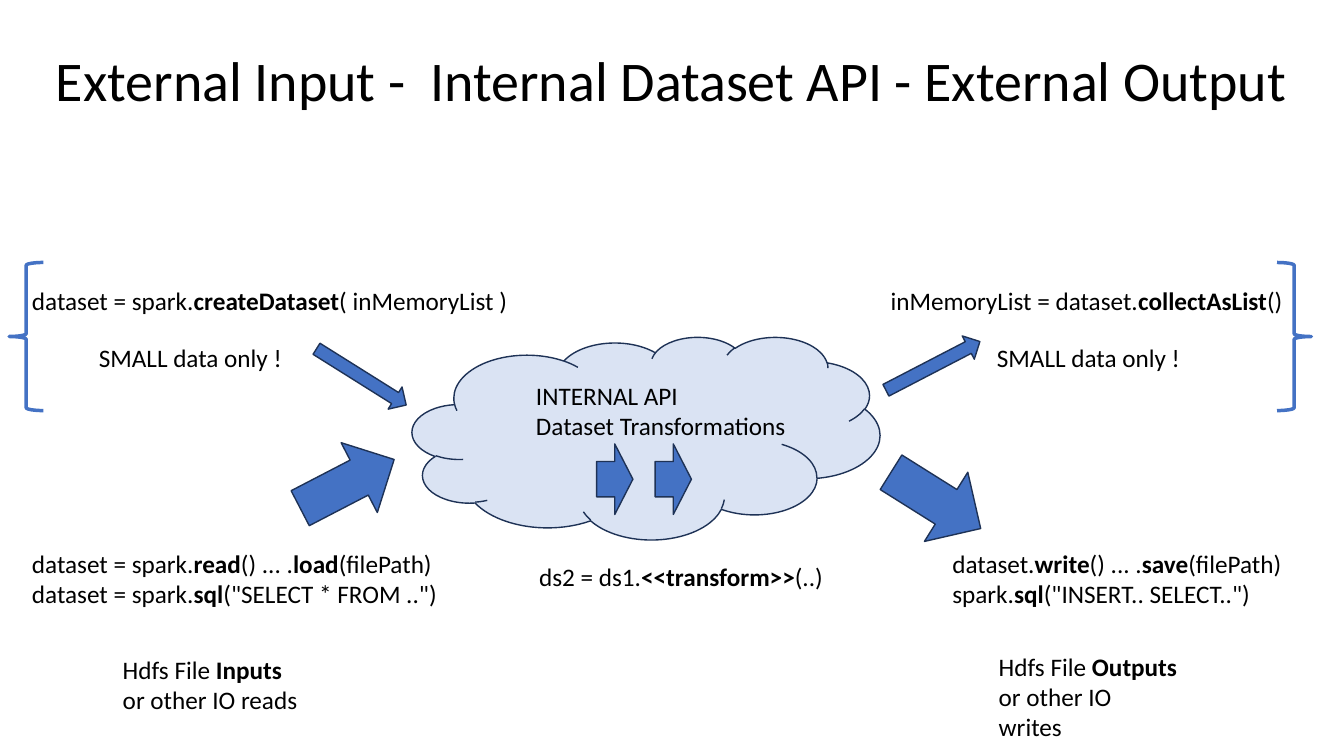
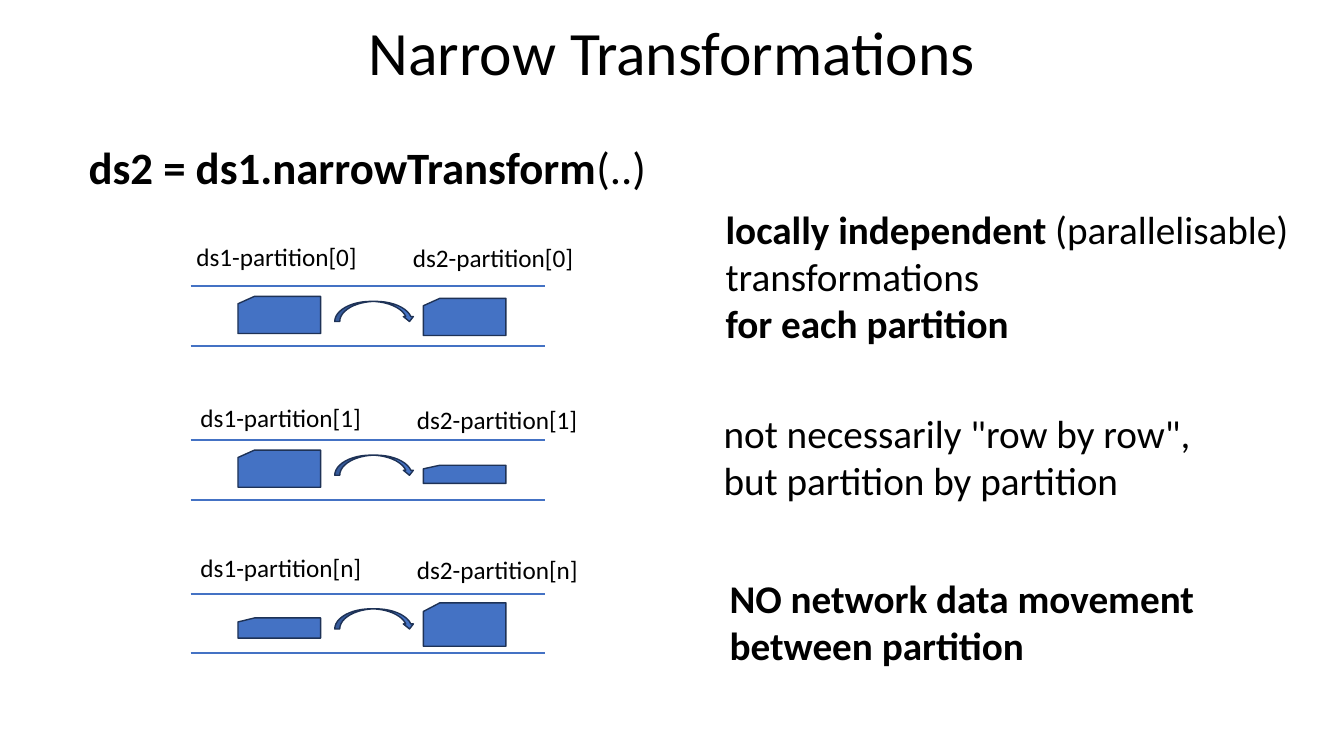
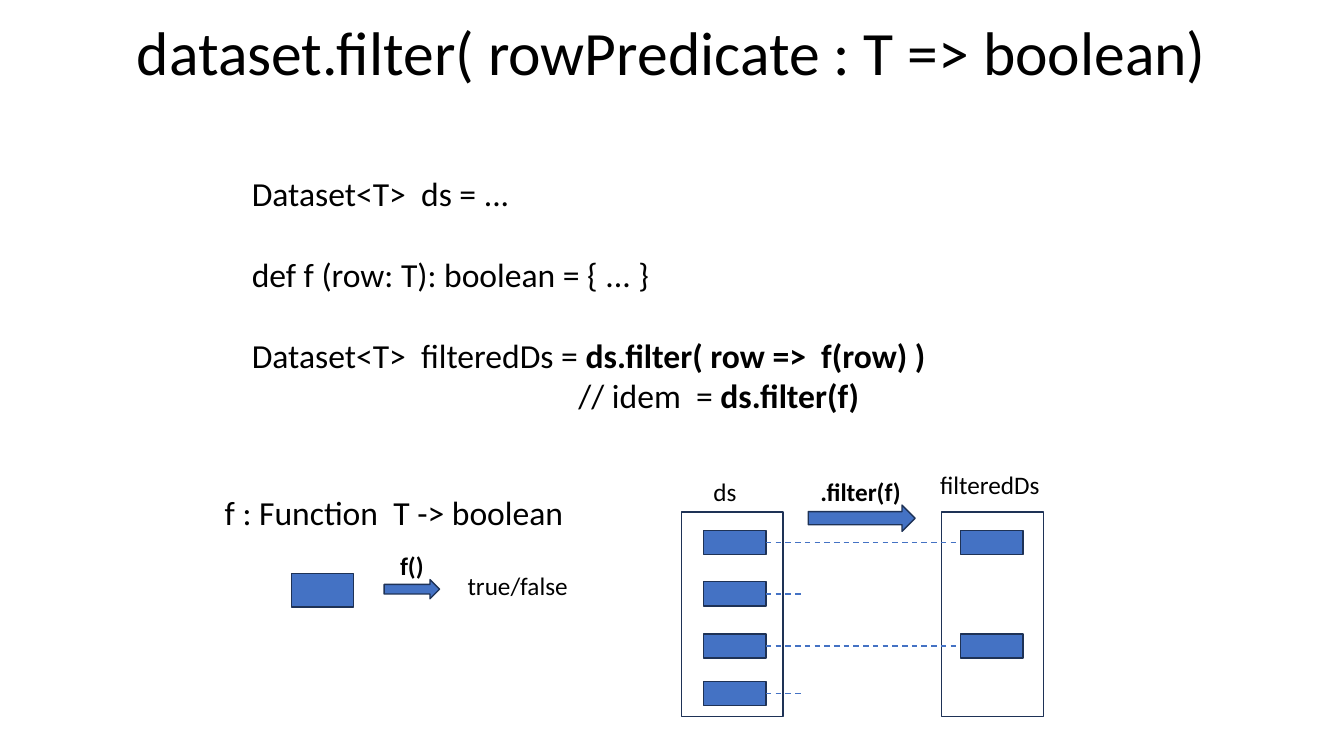
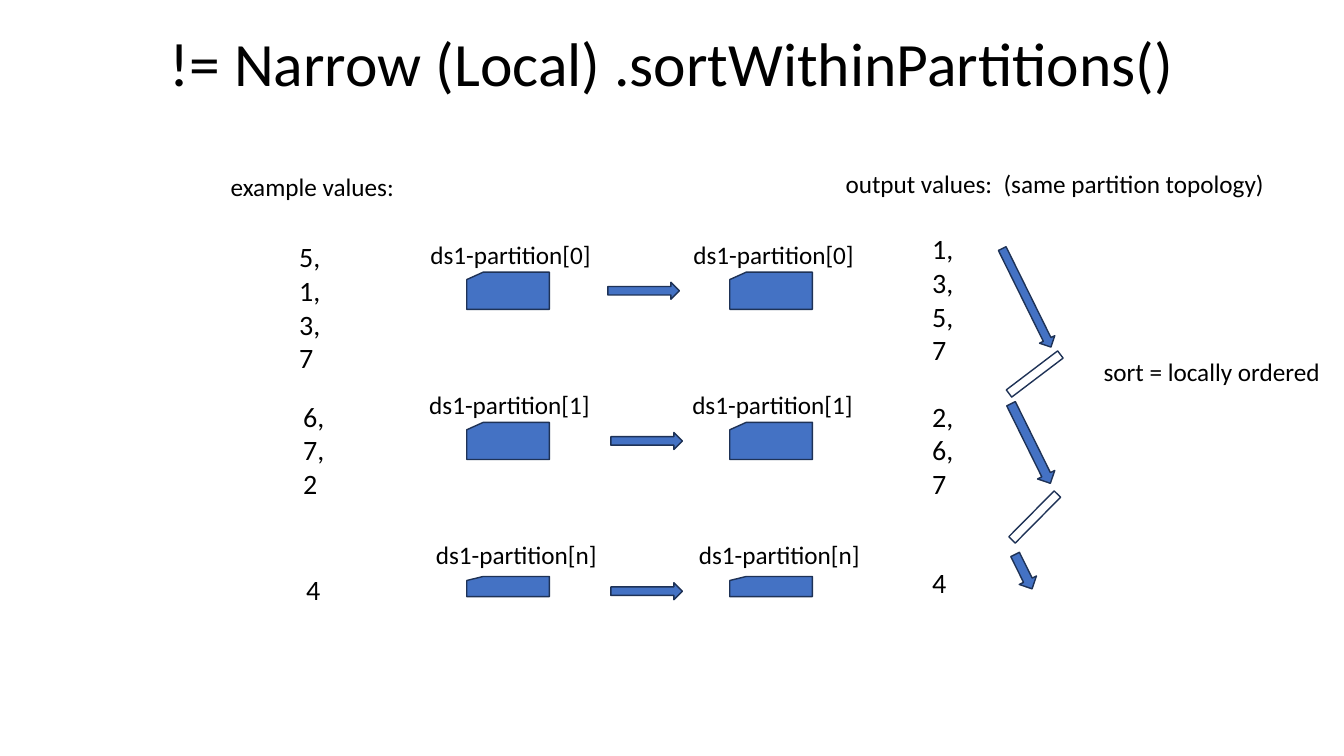
from pptx import Presentation
from pptx.dml.color import RGBColor
from pptx.enum.dml import MSO_LINE
from pptx.enum.shapes import MSO_CONNECTOR, MSO_SHAPE
from pptx.enum.text import MSO_ANCHOR, PP_ALIGN
from pptx.oxml.ns import qn
from pptx.util import Pt
from lxml import etree

BLUE = RGBColor(0x44, 0x72, 0xC4)
PALE = RGBColor(0xDA, 0xE3, 0xF3)
NAVY = RGBColor(0x1E, 0x32, 0x56)
BLACK = RGBColor(0, 0, 0)
FONT = "Calibri"
LINE_HEIGHT = 1.22

RECT = MSO_SHAPE.RECTANGLE
CLOUD = MSO_SHAPE.CLOUD
CARD = MSO_SHAPE.FLOWCHART_CARD
RIGHT = MSO_SHAPE.RIGHT_ARROW
DOWN = MSO_SHAPE.DOWN_ARROW
CURVED = MSO_SHAPE.CURVED_DOWN_ARROW
LEFT_BRACE = MSO_SHAPE.LEFT_BRACE
RIGHT_BRACE = MSO_SHAPE.RIGHT_BRACE
STRAIGHT = MSO_CONNECTOR.STRAIGHT
DASH = MSO_LINE.DASH
CENTER = PP_ALIGN.CENTER
LEFT = PP_ALIGN.LEFT
TOP = MSO_ANCHOR.TOP
MIDDLE = MSO_ANCHOR.MIDDLE
LEFT_SIDE, RIGHT_SIDE = 1, 3


def add_text(s, x, y, w, lines, h=None, size=18, align=LEFT, anchor=TOP,
             wrap=False, spacing=None, gaps=()):
    if h is None:
        h = len(lines) * size * LINE_HEIGHT + sum(gaps) + 7.2
    tf = s.shapes.add_textbox(Pt(x), Pt(y), Pt(w), Pt(h)).text_frame
    tf.word_wrap = wrap
    tf.vertical_anchor = anchor
    for i, line in enumerate(lines):
        p = tf.paragraphs[0] if i == 0 else tf.add_paragraph()
        p.alignment = align
        if spacing:
            p.line_spacing = spacing
        if i < len(gaps) and gaps[i]:
            p.space_before = Pt(gaps[i])
        for j, part in enumerate(line.split("**")):
            if part:
                r = p.add_run()
                r.text = part
                r.font.name = FONT
                r.font.size = Pt(size)
                r.font.bold = j % 2 == 1
                r.font.color.rgb = BLACK


def add_title(s, text, x=66, y=7.2, w=828, h=64.8, size=44):
    add_text(s, x, y, w, [text], h=h, size=size, align=CENTER,
             anchor=MIDDLE, wrap=True, spacing=0.9)


def add_box(s, kind, x, y, w, h, fill=BLUE, line=NAVY, weight=1, angle=0):
    sp = s.shapes.add_shape(kind, Pt(x), Pt(y), Pt(w), Pt(h))
    sp.shadow.inherit = False
    if fill is None:
        sp.fill.background()
    else:
        sp.fill.solid()
        sp.fill.fore_color.rgb = fill
    sp.line.color.rgb = line
    sp.line.width = Pt(weight)
    sp.rotation = angle
    return sp


def add_line(s, x1, y1, x2, y2, weight=1.5, dash=None):
    c = s.shapes.add_connector(STRAIGHT, Pt(x1), Pt(y1), Pt(x2), Pt(y2))
    c.line.color.rgb = BLUE
    c.line.width = Pt(weight)
    if dash:
        c.line.dash_style = dash
    etree.SubElement(c._element.spPr, qn("a:effectLst"))
    return c


def memory_region(s, x, y, brace, brace_dx, code, code_dx, code_w, note_dx,
                  arrow_dx, arrow_dy, angle):
    add_box(s, brace, x + brace_dx, y, 24.5, 105.8, fill=None, line=BLUE,
            weight=2.5)
    add_text(s, x + code_dx, y + 12.7, code_w, [code])
    add_text(s, x + note_dx, y + 53.7, 147, ["SMALL data only !"])
    add_box(s, RIGHT, x + arrow_dx, y + arrow_dy, 75.6, 18.7, angle=angle)


def file_region(s, x, y, code, code_dx, code_w, note, note_dx, note_dy,
                arrow_dx, arrow_dy, arrow_h, angle):
    add_box(s, RIGHT, x + arrow_dx, y + arrow_dy, 75.6, arrow_h, angle=angle)
    add_text(s, x + code_dx, y + 70.3, code_w, code)
    add_text(s, x + note_dx, y + note_dy, 143, note)


def internal_region(s, x, y):
    add_box(s, CLOUD, x, y, 334, 144.7, fill=PALE)
    add_text(s, x + 81.3, y + 27.3, 194.4,
             ["INTERNAL API", "Dataset Transformations"])
    for dx in (131.7, 173.5):
        add_box(s, RIGHT, x + dx, y + 76.6, 25.9, 50.4)
    add_text(s, x + 83.5, y + 156.9, 219.6, ["ds2 = ds1.**<<transform>>**(..)"])


def input_output_slide(s):
    down, up = 32.1, 332.6
    add_title(s, "External Input -  Internal Dataset API - External Output",
              x=6.5, y=11.5, w=946, h=96.5, size=40)
    internal_region(s, 294.5, 240.5)
    memory_region(s, 6.5, 187.5, LEFT_BRACE, 0,
                  "dataset = spark.**createDataset**( inMemoryList )",
                  9.3, 355, 57, 213.8, 72.4, down)
    memory_region(s, 625, 187.5, RIGHT_BRACE, 287.2,
                  " inMemoryList = dataset.**collectAsList**()",
                  0, 298.8, 80, 3.6, 64.5, up)
    file_region(s, 15.8, 317.5,
                ["dataset = spark.**read**() ... .**load**(filePath)",
                 'dataset = spark.**sql**("SELECT * FROM ..")'], 0, 306.7,
                ["Hdfs File **Inputs**", "or other IO reads"], 64.8, 146.2,
                194.4, 0, 56.2, up)
    file_region(s, 630.7, 317.5,
                ["dataset.**write**() ... .**save**(filePath)",
                 'spark.**sql**("INSERT.. SELECT..")'], 42.5, 252,
                ["Hdfs File **Outputs**", "or other IO writes"], 75.6, 144,
                0, 10.8, 58.3, down)


def partition_lane(s, x, y, index, cards, label_dx, label_dy):
    for dy in (0, 42.6):
        add_line(s, x, y + dy, x + 253.4, y + dy)
    for dx, (top, h) in zip((33.9, 166.3), cards):
        add_box(s, CARD, x + dx, y + top, 59, h)
    add_box(s, CURVED, x + 103, y + 10.8, 57, 14.4)
    for n, dx, dy in ((1, 0, 0), (2, 154.6, 1.1)):
        add_text(s, x + label_dx + dx, y + label_dy + dy, 131,
                 [f"ds{n}-partition[{index}]"])


def narrow_slide(s):
    add_title(s, "Narrow Transformations")
    add_text(s, 56.2, 96.5, 414.7, ["**ds2 = ds1.narrowTransform**(..)"],
             size=32)
    lanes = [("0", ((7.2, 26.6), (8.6, 26.6)), -2.9, -36),
             ("1", ((7.2, 26.6), (18, 13)), 0, -30.5),
             ("n", ((17.3, 14.4), (6.5, 31)), 0, -33)]
    for i, lane in enumerate(lanes):
        partition_lane(s, 136.1, 204.5 + 109.8 * i, *lane)
    remarks = [(511.2, 143.3, 430.6,
                ["**locally independent** (parallelisable)",
                 "transformations", "**for each partition**"]),
               (509.8, 288.7, 357.8,
                ['not necessarily "row by row",', "but partition by partition"]),
               (514.1, 406.8, 356.4,
                ["**NO network data movement**", "**between partition**"])]
    for remark in remarks:
        add_text(s, *remark, size=28)


def predicate_region(s, x, y):
    add_text(s, x, y, 258.5, ["f : Function  T -> boolean"], size=24)
    add_box(s, RECT, x + 54.7, y + 61.9, 44.6, 23.8)
    add_box(s, RIGHT, x + 121, y + 66.2, 39.6, 13.7)
    add_text(s, x + 125.3, y + 41.8, 31.7, ["**f()**"])
    add_text(s, x + 173.5, y + 56.2, 87.1, ["true/false"])


def filter_region(s, x, y):
    target_dx = 185.8
    for dx in (0, target_dx):
        add_box(s, RECT, x + dx, y, 72.7, 146.2, fill=None)
    add_text(s, x + 15.8, y - 28.8, 31, ["ds"])
    add_text(s, x + 92.2, y - 28.8, 72.7, ["**.filter(f)**"])
    add_text(s, x + 177.8, y - 33.8, 86.4, ["filteredDs"])
    add_box(s, RIGHT, x + 90.7, y - 5, 76.3, 18.7)
    for dy, kept in ((13, True), (49.7, False), (87.1, True), (121, False)):
        row = add_box(s, RECT, x + 15.8, y + dy, 44.6, 17.3)
        mid = y + dy + 8.65
        end = x + (199.4 if kept else 86.4)
        c = add_line(s, x + 60.4, mid, end, mid, weight=1, dash=DASH)
        c.begin_connect(row, RIGHT_SIDE)
        if kept:
            result = add_box(s, RECT, end, y + dy, 44.6, 17.3)
            c.end_connect(result, LEFT_SIDE)


def filter_slide(s):
    add_title(s, "dataset.filter( rowPredicate : T => boolean)")
    add_text(s, 172.8, 120.2, 506.2,
             ["Dataset<T>  ds = ...",
              "def f (row: T): boolean = { ... }",
              "Dataset<T>  filteredDs = **ds.filter( row =>  f(row) )**",
              "                                           // idem  = **ds.filter(f)**"],
             size=24, gaps=(0, 29, 29))
    predicate_region(s, 153.4, 347.8)
    filter_region(s, 486.7, 365.8)


def sort_row(s, x, y, index, label_dx, arrow_dx, top, h):
    for dx in (0, 187.9):
        add_box(s, CARD, x + dx, y + top, 59, h)
        add_text(s, x + dx + label_dx, y - 27, 131, [f"ds1-partition[{index}]"])
    add_box(s, RIGHT, x + arrow_dx, y + 7.2, 51.1, 12.2)


def order_region(s, x, y):
    for dx, dy, w, h in ((2.9, 0, 12.2, 78.5), (5.1, 111.6, 13.7, 63.4),
                         (0, 221.1, 13.7, 27.4)):
        add_box(s, DOWN, x + dx, y + dy, w, h, angle=333.7)
    for dy, angle in ((70.6, 52.8), (172.8, 44.7)):
        add_box(s, RECT, x + 11.5, y + dy, 6.5, 46.1, fill=None, angle=angle)
    add_text(s, x + 56.9, y + 77.8, 170.6, ["sort = locally ordered"])


def sort_slide(s):
    add_title(s, "!= Narrow (Local) .sortWithinPartitions()", h=80.6)
    add_text(s, 157.7, 118.8, 132.5, ["example values:"])
    add_text(s, 596.9, 116.6, 317.5,
             ["output values:  (same partition topology)"])
    rows = [("0", -33.1, 100.8, 0, 26.6), ("1", -33.9, 102.9, 0, 26.6),
            ("n", -29.2, 102.9, 2.8, 14.4)]
    for i, row in enumerate(rows):
        sort_row(s, 333.4, 194.4 + 107.3 * i, *row)
    values = [(206.6, 167.8, ["5,", "1,", "3,", "7"]),
              (209.5, 281.5, ["6,", "7,", "2"]),
              (211.7, 405.4, ["4"]),
              (658.8, 162, ["1,", "3,", "5,", "7"]),
              (658.8, 281.5, ["2,", "6,", "7"]),
              (658.8, 400.3, ["4"])]
    for x, y, lines in values:
        add_text(s, x, y, 34.6 if len(lines) > 1 else 24.5, lines, size=20)
    order_region(s, 724.3, 173.5)


def main():
    prs = Presentation()
    prs.slide_width, prs.slide_height = Pt(960), Pt(540)
    for build in (input_output_slide, narrow_slide, filter_slide, sort_slide):
        build(prs.slides.add_slide(prs.slide_layouts[6]))
    prs.save("out.pptx")


if __name__ == "__main__":
    main()
